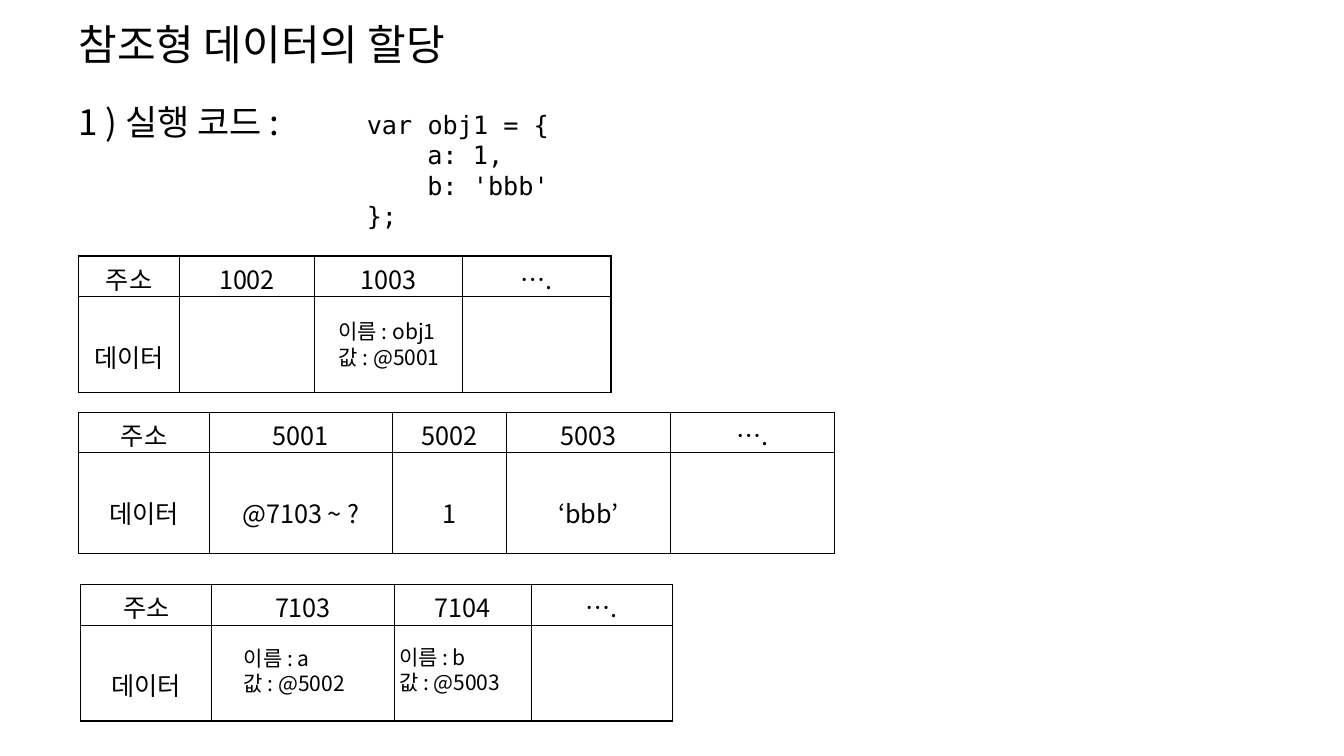
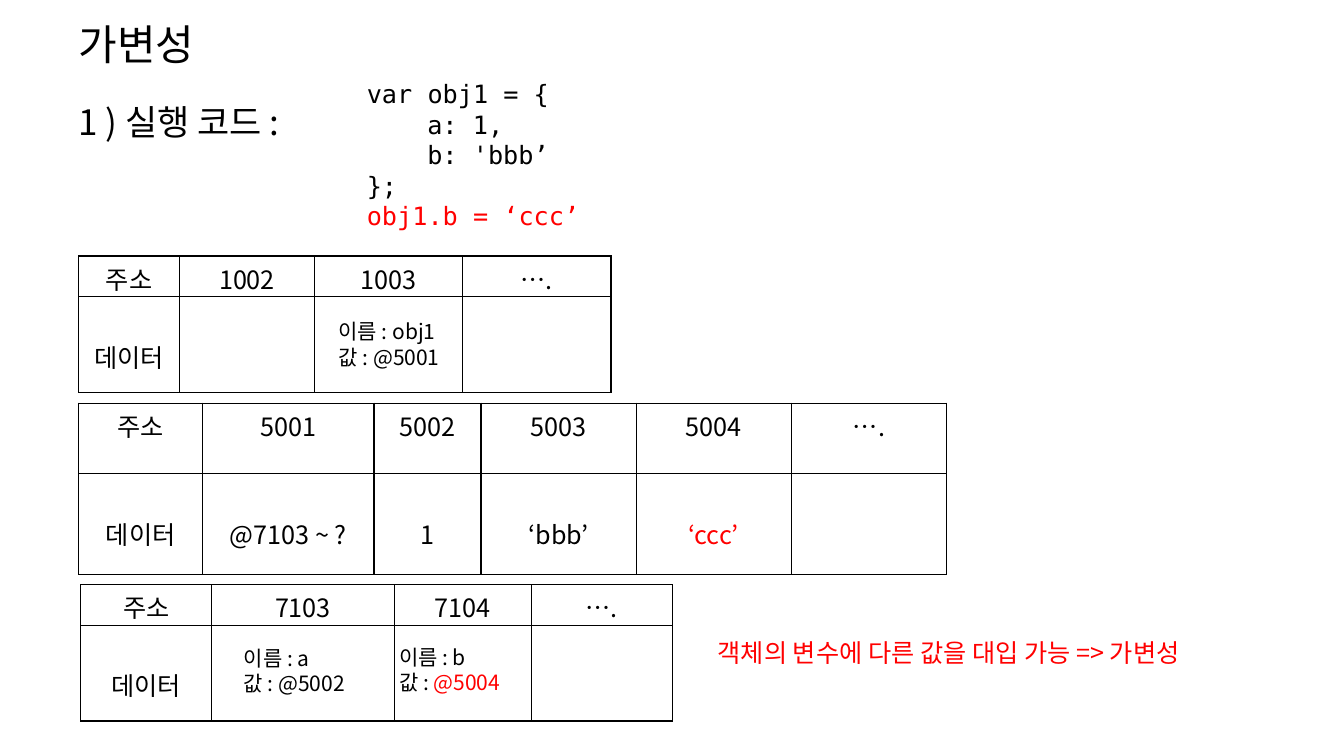
from lxml import etree
from pptx import Presentation
from pptx.dml.color import RGBColor
from pptx.enum.text import MSO_ANCHOR, MSO_AUTO_SIZE, PP_ALIGN
from pptx.oxml.ns import qn
from pptx.util import Inches, Pt

# Shared style
COLORS = {"ink": "000000", "accent": "FF0000", "paper": "FFFFFF"}
KOREAN_FONT = "Noto Sans CJK KR"
CODE_FONT = "DejaVu Sans Mono"
LINE_RATIO = 1.21
CODE_INDENT = 0.6
TITLE_BOX = (0.68, 0.13, 5.74, 0.61)


def rgb(name):
    return RGBColor.from_string(COLORS[name])


def style_font(para, size, face=KOREAN_FONT, color="ink"):
    """Format a paragraph, with the same face for Latin and Korean."""
    font = para.font
    font.size = Pt(size)
    font.bold = False
    font.name = face
    font.color.rgb = rgb(color)
    properties = para._p.get_or_add_pPr().find(qn("a:defRPr"))
    east_asian = etree.Element(qn("a:ea"), typeface=face)
    properties.find(qn("a:latin")).addnext(east_asian)


def fill_frame(frame, lines, size, face=KOREAN_FONT, color="ink", accent=""):
    """Write the lines; the part of a line equal to accent turns red."""
    frame.word_wrap = True
    frame.auto_size = MSO_AUTO_SIZE.NONE
    for index, line in enumerate(lines):
        para = frame.paragraphs[0] if index == 0 else frame.add_paragraph()
        para.alignment = PP_ALIGN.LEFT
        para.line_spacing = Pt(size * LINE_RATIO)
        style_font(para, size, face, color)
        before, match, after = line.partition(accent) if accent else (line, "", "")
        for text in filter(None, (before, match, after)):
            span = para.add_run()
            span.text = text
            if text == accent:
                span.font.color.rgb = rgb("accent")


def add_text(slide, box, lines, size, **style):
    shape = slide.shapes.add_textbox(*map(Inches, box))
    fill_frame(shape.text_frame, lines, size, **style)
    return shape


def add_code(slide, box, lines, accent=""):
    """Add code; lines that start with a tab are indented."""
    shape = add_text(slide, box, [line.lstrip("\t") for line in lines], 18,
                     face=CODE_FONT, accent=accent)
    for para, line in zip(shape.text_frame.paragraphs, lines):
        if line.startswith("\t"):
            para._p.get_or_add_pPr().set("marL", str(Inches(CODE_INDENT)))


def add_borders(cell):
    properties = cell._tc.get_or_add_tcPr()
    for index, side in enumerate(("lnL", "lnR", "lnT", "lnB")):
        line = etree.Element(qn(f"a:{side}"), w=str(Pt(1)))
        solid = etree.SubElement(line, qn("a:solidFill"))
        etree.SubElement(solid, qn("a:srgbClr"), val=COLORS["ink"])
        properties.insert(index, line)


def add_memory(slide, left, top, widths, heights, addresses, values=(), accent=""):
    """Add a table with a row of addresses above a row of data."""
    rows = [["주소", *addresses, "…."], ["데이터", *values]]
    table = slide.shapes.add_table(
        len(rows), len(widths), Inches(left), Inches(top),
        Inches(sum(widths)), Inches(sum(heights))).table
    table.first_row = table.horz_banding = False
    for column, width in zip(table.columns, widths):
        column.width = Inches(width)
    for row, height, texts, margin in zip(table.rows, heights, rows, (0.04, 0.41)):
        row.height = Inches(height)
        texts = texts + [""] * (len(widths) - len(texts))
        for cell, text in zip(row.cells, texts):
            cell.fill.solid()
            cell.fill.fore_color.rgb = rgb("paper")
            add_borders(cell)
            cell.margin_top = Inches(margin)
            cell.margin_bottom = 0
            if text:
                cell.text = text
                para = cell.text_frame.paragraphs[0]
                para.alignment = PP_ALIGN.CENTER
                style_font(para, 18, color="accent" if text == accent else "ink")


def add_entry(slide, left, top, name, value, accent=""):
    """Add the name and value label laid over a data cell."""
    add_text(slide, (left, top, 1.89, 0.61),
             [f"이름 : {name}", f"값 : {value}"], 15, accent=accent)


def add_page(deck, title):
    """Add a page with its title, code heading and variable table."""
    page = deck.slides.add_slide(deck.slide_layouts[5])
    heading = page.shapes.title
    heading.left, heading.top, heading.width, heading.height = map(Inches, TITLE_BOX)
    fill_frame(heading.text_frame, [title], 30)
    heading.text_frame.vertical_anchor = MSO_ANCHOR.TOP
    add_text(page, (0.68, 0.94, 2.43, 0.52), ["1 ) 실행 코드 :"], 25)
    add_memory(page, 0.78, 2.54, (1, 1.34, 1.47, 1.47), (0.4, 0.95), ("1002", "1003"))
    add_entry(page, 3.26, 3.11, "obj1", "@5001")
    return page


def add_properties(page, address, accent=""):
    """Add the table of object properties at the foot of a page."""
    add_memory(page, 0.8, 5.8, (1.3, 1.81, 1.36, 1.4), (0.4, 0.95), ("7103", "7104"))
    add_entry(page, 2.32, 6.35, "a", "@5002")
    add_entry(page, 3.86, 6.34, "b", address, accent)


def add_assignment_page(deck):
    page = add_page(deck, "참조형 데이터의 할당")
    add_code(page, (3.54, 1.03, 6.67, 1.31),
             ["var obj1 = {", "\ta: 1,", "\tb: 'bbb'", "};"])
    add_memory(page, 0.78, 4.09, (1.3, 1.81, 1.13, 1.63, 1.63), (0.4, 1),
               ("5001", "5002", "5003"), ("@7103 ~ ?", "1", "‘bbb’"))
    add_properties(page, "@5003")


def add_mutability_page(deck):
    page = add_page(deck, "가변성")
    change = "obj1.b = ‘ccc’"
    add_code(page, (3.54, 0.73, 6.67, 1.92),
             ["var obj1 = {", "\ta: 1,", "\tb: 'bbb’", "};", change], accent=change)
    add_memory(page, 0.78, 4, (1.23, 1.7, 1.06, 1.54, 1.54, 1.54), (0.7, 1),
               ("5001", "5002", "5003", "5004"),
               ("@7103 ~ ?", "1", "‘bbb’", "‘ccc’"), accent="‘ccc’")
    add_properties(page, "@5004", accent="@5004")
    add_text(page, (7.02, 6.27, 5.87, 0.4),
             ["객체의 변수에 다른 값을 대입 가능 => 가변성"], 18, color="accent")


def main():
    deck = Presentation()
    deck.slide_width, deck.slide_height = Inches(13.33), Inches(7.5)
    add_assignment_page(deck)
    add_mutability_page(deck)
    deck.save("out.pptx")


if __name__ == "__main__":
    main()
